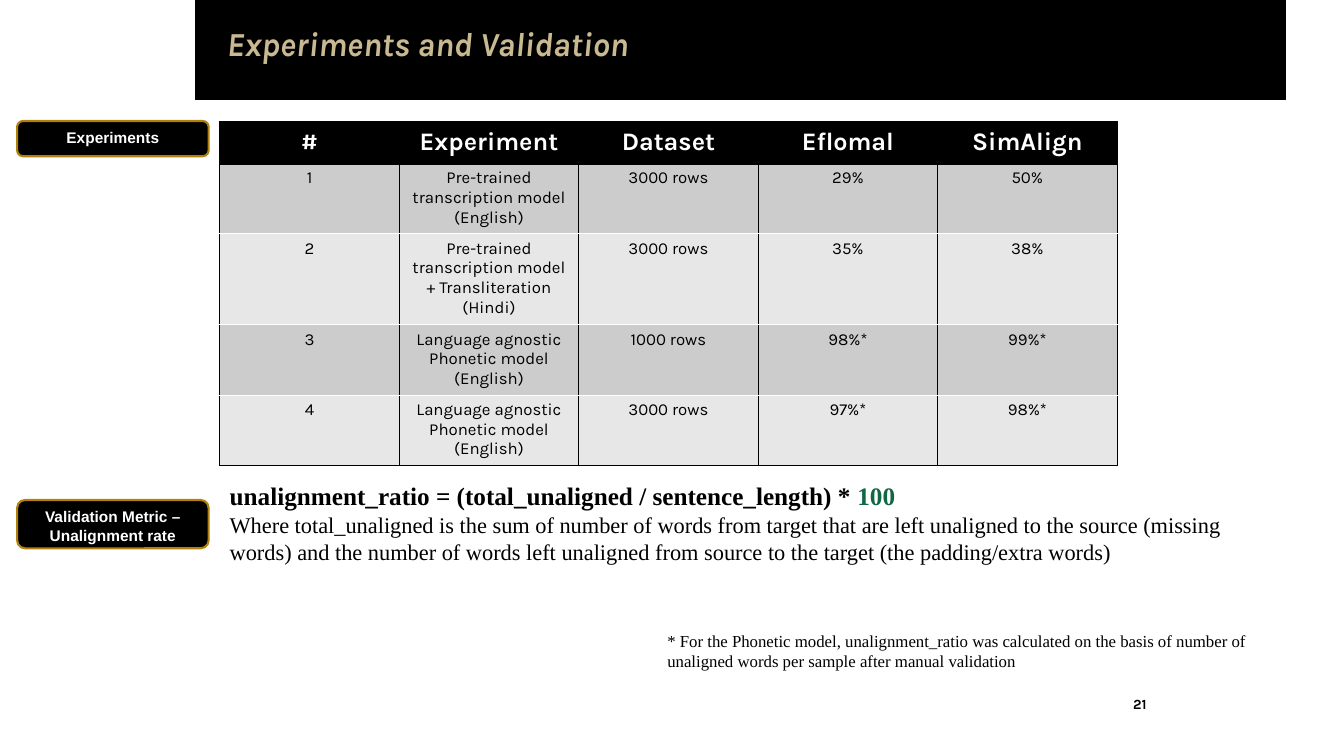
from dataclasses import dataclass

from lxml import etree
from pptx import Presentation
from pptx.dml.color import RGBColor
from pptx.enum.shapes import MSO_SHAPE as Shape
from pptx.enum.text import MSO_ANCHOR as Anchor, MSO_AUTO_SIZE as AutoSize, PP_ALIGN as Align
from pptx.oxml.ns import qn
from pptx.util import Inches, Pt


@dataclass(frozen=True)
class Theme:
    heading_font: str = "Karla"
    label_font: str = "Arial"
    body_font: str = "Times New Roman"
    black: str = "000000"
    white: str = "FFFFFF"
    sand: str = "C9B991"
    gold: str = "B1810B"
    green: str = "116644"
    bands: tuple = ("CCCCCC", "E7E7E7")
    title_size: int = 24
    header_size: int = 18
    formula_size: int = 18
    body_size: int = 16
    small_size: int = 12
    label_size: int = 11
    number_size: int = 10


THEME = Theme()

RESULTS = [
    ("#", "Experiment", "Dataset", "Eflomal", "SimAlign"),
    ("1", "Pre-trained transcription model (English)", "3000 rows", "29%", "50%"),
    ("2", "Pre-trained transcription model + Transliteration (Hindi)", "3000 rows", "35%", "38%"),
    ("3", "Language agnostic Phonetic model (English)", "1000 rows", "98%*", "99%*"),
    ("4", "Language agnostic Phonetic model (English)", "3000 rows", "97%*", "98%*"),
]
FORMULA = "unalignment_ratio = (total_unaligned / sentence_length) * "
EXPLANATION = (
    "Where total_unaligned is the sum of number of words from target that are left unaligned "
    "to the source (missing words) and the number of words left unaligned from source to the "
    "target (the padding/extra words)"
)
FOOTNOTE = (
    "* For the Phonetic model, unalignment_ratio was calculated on the basis of number of "
    "unaligned words per sample after manual validation"
)


def rgb(color):
    return RGBColor.from_string(color)


def format_runs(paragraph, font_name, size, color=THEME.black, bold=False, italic=False):
    for run in paragraph.runs:
        font = run.font
        font.name, font.size = font_name, Pt(size)
        font.bold, font.italic = bold, italic
        font.color.rgb = rgb(color)


def set_margins(text_frame, horizontal, vertical):
    text_frame.margin_left = text_frame.margin_right = Inches(horizontal)
    text_frame.margin_top = text_frame.margin_bottom = Inches(vertical)


def add_box(slide, kind, left, top, width, height, fill=None, line=None, line_width=1):
    shape = slide.shapes.add_shape(kind, Inches(left), Inches(top), Inches(width), Inches(height))
    shape.shadow.inherit = False
    if fill:
        shape.fill.solid()
        shape.fill.fore_color.rgb = rgb(fill)
    else:
        shape.fill.background()
    if line:
        shape.line.color.rgb = rgb(line)
        shape.line.width = Pt(line_width)
    else:
        shape.line.fill.background()
    return shape


def add_title(slide, text):
    banner = add_box(slide, Shape.RECTANGLE, 1.94, 0, 10.81, 0.99, THEME.black, THEME.black)
    title = slide.shapes.title
    banner._element.addnext(title._element)
    title.left, title.top, title.width, title.height = map(Inches, (2.25, 0.27, 8.74, 0.36))
    text_frame = title.text_frame
    text_frame.text = text
    text_frame.word_wrap = True
    text_frame.auto_size = AutoSize.SHAPE_TO_FIT_TEXT
    text_frame.vertical_anchor = Anchor.TOP
    set_margins(text_frame, 0, 0)
    paragraph = text_frame.paragraphs[0]
    paragraph.alignment = Align.LEFT
    paragraph.line_spacing = 0.9
    format_runs(paragraph, THEME.heading_font, THEME.title_size, THEME.sand, bold=True, italic=True)


def add_label(slide, text, top, height):
    label = add_box(slide, Shape.ROUNDED_RECTANGLE, 0.17, top, 1.9, height,
                    THEME.black, THEME.gold, 1.5)
    label.text_frame.text = text
    label.text_frame.vertical_anchor = Anchor.TOP
    paragraph = label.text_frame.paragraphs[0]
    paragraph.alignment = Align.CENTER
    format_runs(paragraph, THEME.label_font, THEME.label_size, THEME.white, bold=True)


def add_slide_number(slide, number):
    circle = add_box(slide, Shape.OVAL, 11.04, 6.78, 0.53, 0.4)
    text_frame = circle.text_frame
    text_frame.text = number
    text_frame.vertical_anchor = Anchor.MIDDLE
    set_margins(text_frame, 0.02, 0.05)
    text_frame.paragraphs[0].alignment = Align.CENTER
    format_runs(text_frame.paragraphs[0], THEME.heading_font, THEME.number_size, bold=True)


def add_text_box(slide, left, top, width, height, text):
    box = slide.shapes.add_textbox(Inches(left), Inches(top), Inches(width), Inches(height))
    text_frame = box.text_frame
    text_frame.word_wrap = True
    text_frame.auto_size = AutoSize.SHAPE_TO_FIT_TEXT
    text_frame.text = text
    return text_frame


def add_border(cell, side, width):
    line = etree.SubElement(cell._tc.get_or_add_tcPr(), qn(f"a:ln{side}"), w=str(Pt(width)))
    fill = etree.SubElement(line, qn("a:solidFill"))
    etree.SubElement(fill, qn("a:srgbClr"), val=THEME.black)


def format_cell(cell, text, is_header, fill):
    """Borders go in before the fill, as the cell schema orders them."""
    for side in "LRTB" if is_header else "LRB":
        add_border(cell, side, 3 if is_header and side == "B" else 1)
    cell.fill.solid()
    cell.fill.fore_color.rgb = rgb(fill)
    cell.text_frame.text = text
    paragraph = cell.text_frame.paragraphs[0]
    paragraph.alignment = Align.CENTER
    if is_header:
        format_runs(paragraph, THEME.heading_font, THEME.header_size, THEME.white, bold=True)
    else:
        format_runs(paragraph, THEME.heading_font, THEME.small_size)


def add_results_table(slide, rows):
    row_height, column_width = Inches(0.41), Inches(1.78)
    table = slide.shapes.add_table(
        len(rows), len(rows[0]), Inches(2.18), Inches(1.21),
        column_width * len(rows[0]), row_height * len(rows)).table
    for column in table.columns:
        column.width = column_width
    for row_index, values in enumerate(rows):
        table.rows[row_index].height = row_height
        is_header = row_index == 0
        fill = THEME.black if is_header else THEME.bands[(row_index - 1) % 2]
        for column_index, value in enumerate(values):
            format_cell(table.cell(row_index, column_index), value, is_header, fill)


def add_metric(slide):
    text_frame = add_text_box(slide, 2.18, 4.72, 10.66, 0.94, FORMULA)
    formula = text_frame.paragraphs[0]
    factor = formula.add_run()
    factor.text = "100"
    format_runs(formula, THEME.body_font, THEME.formula_size, bold=True)
    factor.font.color.rgb = rgb(THEME.green)
    explanation = text_frame.add_paragraph()
    explanation.text = EXPLANATION
    format_runs(explanation, THEME.body_font, THEME.body_size)


def add_footnote(slide):
    text_frame = add_text_box(slide, 6.52, 6.21, 6.63, 0.5, FOOTNOTE)
    format_runs(text_frame.paragraphs[0], THEME.body_font, THEME.small_size)


def main():
    presentation = Presentation()
    presentation.slide_width, presentation.slide_height = Inches(13.33), Inches(7.5)
    slide = presentation.slides.add_slide(presentation.slide_layouts.get_by_name("Title Only"))
    add_title(slide, "Experiments and Validation")
    add_slide_number(slide, "21")
    add_results_table(slide, RESULTS)
    add_label(slide, "Validation Metric – Unalignment rate", 4.96, 0.48)
    add_label(slide, "Experiments", 1.2, 0.35)
    add_metric(slide)
    add_footnote(slide)
    presentation.save("out.pptx")


if __name__ == "__main__":
    main()
